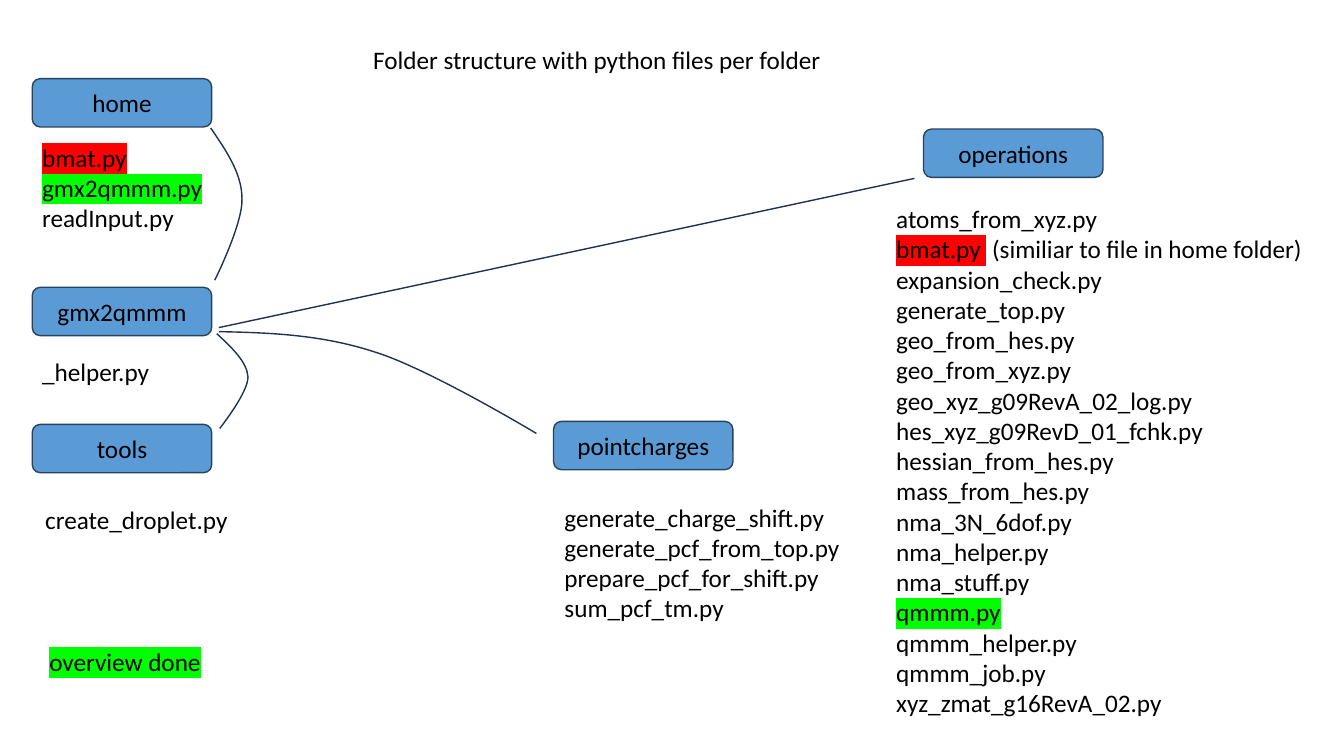
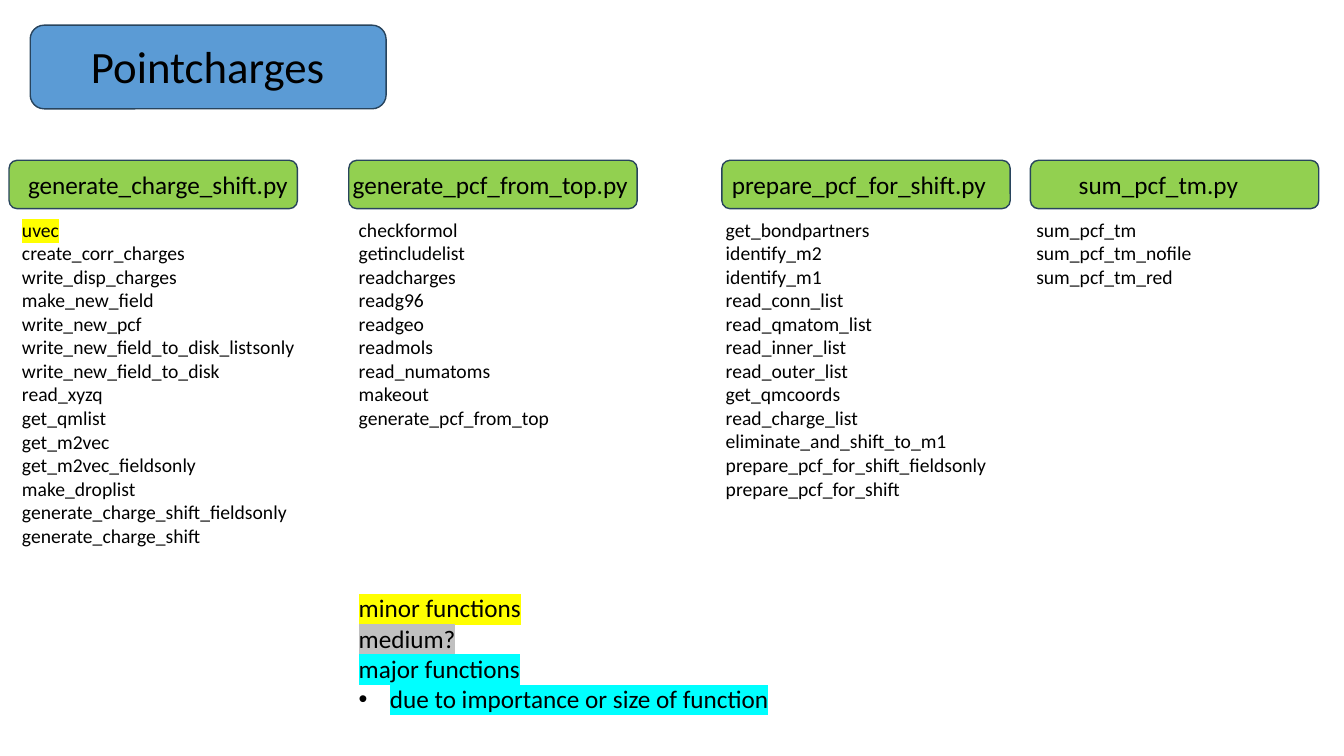
from lxml import etree
from pptx import Presentation
from pptx import util as u
from pptx.dml.color import RGBColor
from pptx.enum import shapes, text
from pptx.oxml import ns

COLUMNS, ROWS = 13.33, 7.5
BLUE, GREEN, OUTLINE, CURVE, BLACK = "5B9BD5", "92D050", "28445D", "1E3256", "000000"
RED, LIME, YELLOW, GREY, CYAN = "FF0000", "00FF00", "FFFF00", "C0C0C0", "00FFFF"
HIGHLIGHTS = {
    "bmat.py": RED, "bmat.py ": RED,
    "gmx2qmmm.py": LIME, "qmmm.py": LIME, "overview done": LIME,
    "uvec": YELLOW, "minor functions": YELLOW, "medium?": GREY,
    "major functions": CYAN, "due to importance or size of function": CYAN,
}
LEFT, CENTER = text.PP_ALIGN.LEFT, text.PP_ALIGN.CENTER
TOP, BOTTOM = text.MSO_ANCHOR.TOP, text.MSO_ANCHOR.BOTTOM
GROW, FIXED = text.MSO_AUTO_SIZE.SHAPE_TO_FIT_TEXT, text.MSO_AUTO_SIZE.NONE
BOX_HEIGHT, LABEL_WIDTH, LABEL_DROP = 0.48, 2.98, 0.04
LINE_ROWS, PADDING_ROWS = 0.01683, 0.1

presentation = Presentation()
presentation.slide_width, presentation.slide_height = u.Inches(13.333), u.Inches(7.5)
column = presentation.slide_width / COLUMNS
row = presentation.slide_height / ROWS


def paint(fill, colour):
    fill.solid()
    fill.fore_color.rgb = RGBColor.from_string(colour)


def write(shape, lines, size, paragraph_format, frame_format):
    frame = shape.text_frame
    for name, value in {"word_wrap": True, **frame_format}.items():
        setattr(frame, name, value)
    for index, line in enumerate(lines):
        paragraph = frame.paragraphs[0] if index == 0 else frame.add_paragraph()
        for name, value in paragraph_format.items():
            setattr(paragraph, name, value)
        if line.startswith("•"):
            properties = paragraph._p.get_or_add_pPr()
            properties.set("marL", str(u.Inches(0.31)))
            properties.set("indent", str(-u.Inches(0.31)))
            etree.SubElement(properties, ns.qn("a:buFont"), typeface="Arial")
            etree.SubElement(properties, ns.qn("a:buChar"), char="•")
        for part in line.lstrip("•").split("|"):
            run = paragraph.add_run()
            run.text = part
            paint(run.font.fill, BLACK)
            if part in HIGHLIGHTS:
                highlight = etree.SubElement(run.font._element, ns.qn("a:highlight"))
                etree.SubElement(highlight, ns.qn("a:srgbClr"), val=HIGHLIGHTS[part])
            for name, value in {"size": u.Pt(size), "name": "Calibri"}.items():
                setattr(run.font, name, value)


folder_places = [
    (0.32, 2.85, "gmx2qmmm"),
    (0.32, 0.78, "home"),
    (9.16, 1.28, "operations"),
    (5.49, 4.18, "pointcharges"),
    (0.32, 4.21, "tools"),
]
folder_boxes = [(left, top, 1.78, BOX_HEIGHT, BLUE) for left, top, label in folder_places]
folder_labels = [
    (left + (1.78 - LABEL_WIDTH) / 2, top + LABEL_DROP, LABEL_WIDTH, 18, CENTER, [label])
    for left, top, label in folder_places
]
folder_files = [
    (0.32, 1.36, 1.85, 18, LEFT, ["bmat.py", "gmx2qmmm.py", "readInput.py"]),
    (0.32, 3.49, 1.85, 18, LEFT, ["_helper.py"]),
    (8.79, 1.97, 4.36, 18, LEFT, [
        "atoms_from_xyz.py", "bmat.py | (similiar to file in home folder)",
        "expansion_check.py", "generate_top.py", "geo_from_hes.py", "geo_from_xyz.py",
        "geo_xyz_g09RevA_02_log.py", "hes_xyz_g09RevD_01_fchk.py", "hessian_from_hes.py",
        "mass_from_hes.py", "nma_3N_6dof.py", "nma_helper.py", "nma_stuff.py", "qmmm.py",
        "qmmm_helper.py", "qmmm_job.py", "xyz_zmat_g16RevA_02.py",
    ]),
    (5.5, 4.93, 4.09, 18, LEFT, [
        "generate_charge_shift.py", "generate_pcf_from_top.py",
        "prepare_pcf_for_shift.py", "sum_pcf_tm.py",
    ]),
    (0.35, 4.95, 2.2, 18, LEFT, ["create_droplet.py"]),
    (0.39, 6.36, 2.2, 18, LEFT, ["overview done"]),
]
folder_curves = [
    [(2.15, 3.31), (2.3, 3.45), (2.45, 3.59), (2.46, 3.74), (2.46, 3.9), (2.18, 4.25), (2.18, 4.25)],
    [(2.17, 3.29), (2.68, 3.3), (3.19, 3.32), (3.71, 3.49), (4.24, 3.65), (5.32, 4.3), (5.32, 4.3)],
    [(2.09, 1.27), (2.24, 1.49), (2.4, 1.72), (2.4, 1.97), (2.41, 2.22), (2.13, 2.78), (2.13, 2.78)],
]
folder_lines = [(2.17, 3.25, 9.07, 1.77)]

module_boxes = [(left, 1.59, 2.86, BOX_HEIGHT, GREEN) for left in (10.22, 7.16, 3.46, 0.09)]
module_boxes.append((0.3, 0.25, 3.53, 0.83, BLUE))
module_labels = [
    (left, 1.59 + LABEL_DROP, width, 18, LEFT, [label])
    for left, width, label in [
        (10.6, 2.24, "sum_pcf_tm.py"),
        (0.18, LABEL_WIDTH, "generate_charge_shift.py"),
        (7.16, LABEL_WIDTH, "prepare_pcf_for_shift.py"),
        (3.4, LABEL_WIDTH, "generate_pcf_from_top.py"),
    ]
]
module_functions = [
    (left, 2.11, 3.03, 14, LEFT, names)
    for left, names in [
        (0.12, [
            "uvec", "create_corr_charges", "write_disp_charges", "make_new_field",
            "write_new_pcf", "write_new_field_to_disk_listsonly", "write_new_field_to_disk",
            "read_xyzq", "get_qmlist", "get_m2vec", "get_m2vec_fieldsonly", "make_droplist",
            "generate_charge_shift_fieldsonly", "generate_charge_shift",
        ]),
        (3.46, [
            "checkformol", "getincludelist", "readcharges", "readg96", "readgeo", "readmols",
            "read_numatoms", "makeout", "generate_pcf_from_top",
        ]),
        (7.1, [
            "get_bondpartners", "identify_m2", "identify_m1", "read_conn_list",
            "read_qmatom_list", "read_inner_list", "read_outer_list", "get_qmcoords",
            "read_charge_list", "eliminate_and_shift_to_m1",
            "prepare_pcf_for_shift_fieldsonly", "prepare_pcf_for_shift",
        ]),
        (10.18, ["sum_pcf_tm", "sum_pcf_tm_nofile", "sum_pcf_tm_red"]),
    ]
]
legend = (3.46, 5.83, 6.67, 18, LEFT, [
    "minor functions", "medium?", "major functions", "•due to importance or size of function",
])

pages = [
    (("Folder structure with python files per folder", 3.6, 0.39, 4.95, 0.4, 18, LEFT, TOP, 1.0),
     folder_boxes, folder_labels + folder_files, folder_curves, folder_lines),
    (("Pointcharges", 0.74, 0.35, 2.64, 0.62, 32, CENTER, BOTTOM, 0.9),
     module_boxes, module_labels + module_functions + [legend], [], []),
]

for heading, boxes, lists, curves, lines in pages:
    slide = presentation.slides.add_slide(presentation.slide_layouts[5])

    for left, top, width, height, colour in boxes:
        box = slide.shapes.add_shape(
            shapes.MSO_SHAPE.ROUNDED_RECTANGLE,
            round(left * column), round(top * row), round(width * column), round(height * row))
        box.shadow.inherit = False
        paint(box.fill, colour)
        paint(box.line.fill, OUTLINE)
        box.line.width = u.Pt(1)

    for left, top, width, size, alignment, names in lists:
        height = PADDING_ROWS + len(names) * size * LINE_ROWS
        names_box = slide.shapes.add_textbox(
            round(left * column), round(top * row), round(width * column), round(height * row))
        write(names_box, names, size, {"alignment": alignment},
              {"vertical_anchor": TOP, "auto_size": GROW})

    for points in curves:
        corners = [(round(x * column), round(y * row)) for x, y in points]
        builder = slide.shapes.build_freeform(*corners[0])
        builder.add_line_segments(corners[1:], close=False)
        curve = builder.convert_to_shape()
        outline = next(curve._element.iter(ns.qn("a:path")))
        segments = outline.findall(ns.qn("a:lnTo"))
        for start in range(0, len(segments), 3):
            bend = etree.SubElement(outline, ns.qn("a:cubicBezTo"))
            for segment in segments[start:start + 3]:
                bend.append(segment[0])
                outline.remove(segment)
        curve.shadow.inherit = False
        curve.fill.background()
        paint(curve.line.fill, CURVE)
        curve.line.width = u.Pt(1)

    for x1, y1, x2, y2 in lines:
        link = slide.shapes.add_connector(
            shapes.MSO_CONNECTOR.STRAIGHT,
            round(x1 * column), round(y1 * row), round(x2 * column), round(y2 * row))
        paint(link.line.fill, CURVE)
        link.line.width = u.Pt(1)
        etree.SubElement(link._element.spPr, ns.qn("a:effectLst"))

    wording, left, top, width, height, size, alignment, anchor, spacing = heading
    title = slide.shapes.title
    place = {"left": left * column, "top": top * row, "width": width * column, "height": height * row}
    for name, value in place.items():
        setattr(title, name, round(value))
    write(title, [wording], size, {"alignment": alignment, "line_spacing": spacing},
          {"vertical_anchor": anchor, "auto_size": FIXED})
    slide.shapes._spTree.append(title._element)

presentation.save("out.pptx")
